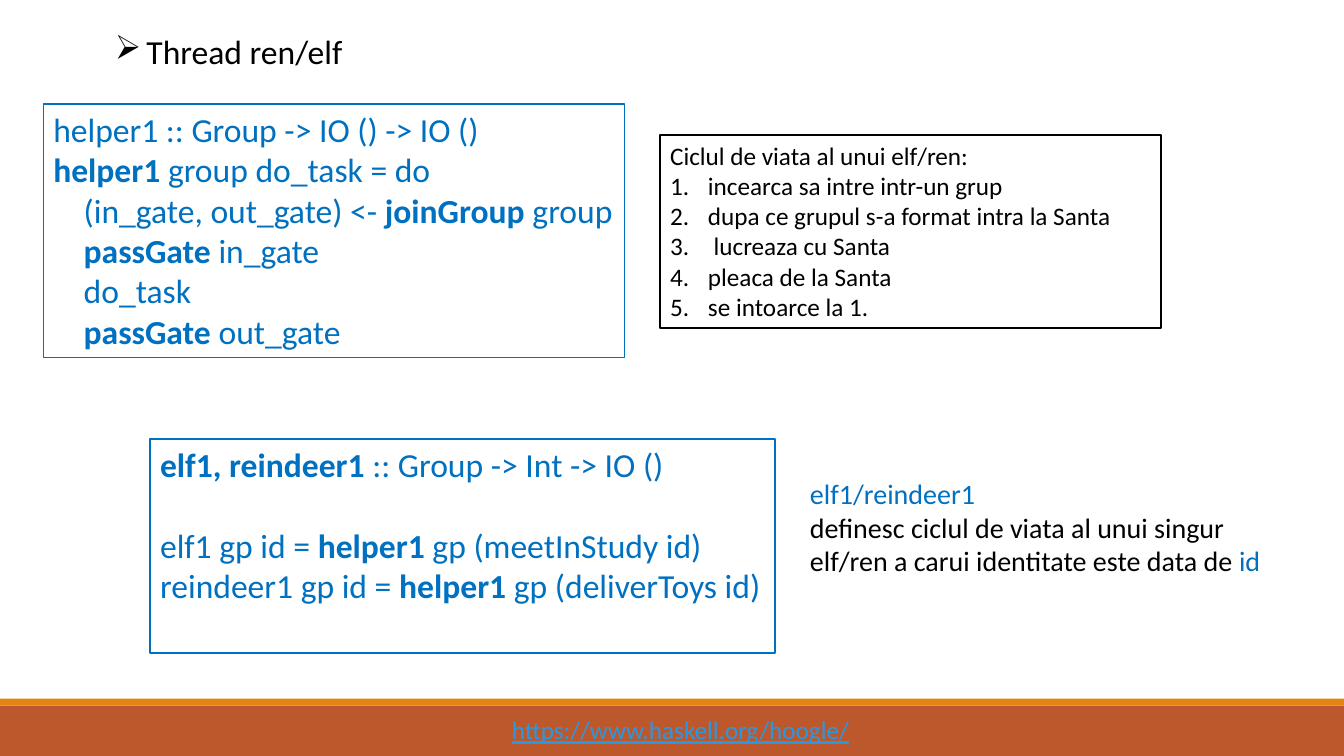
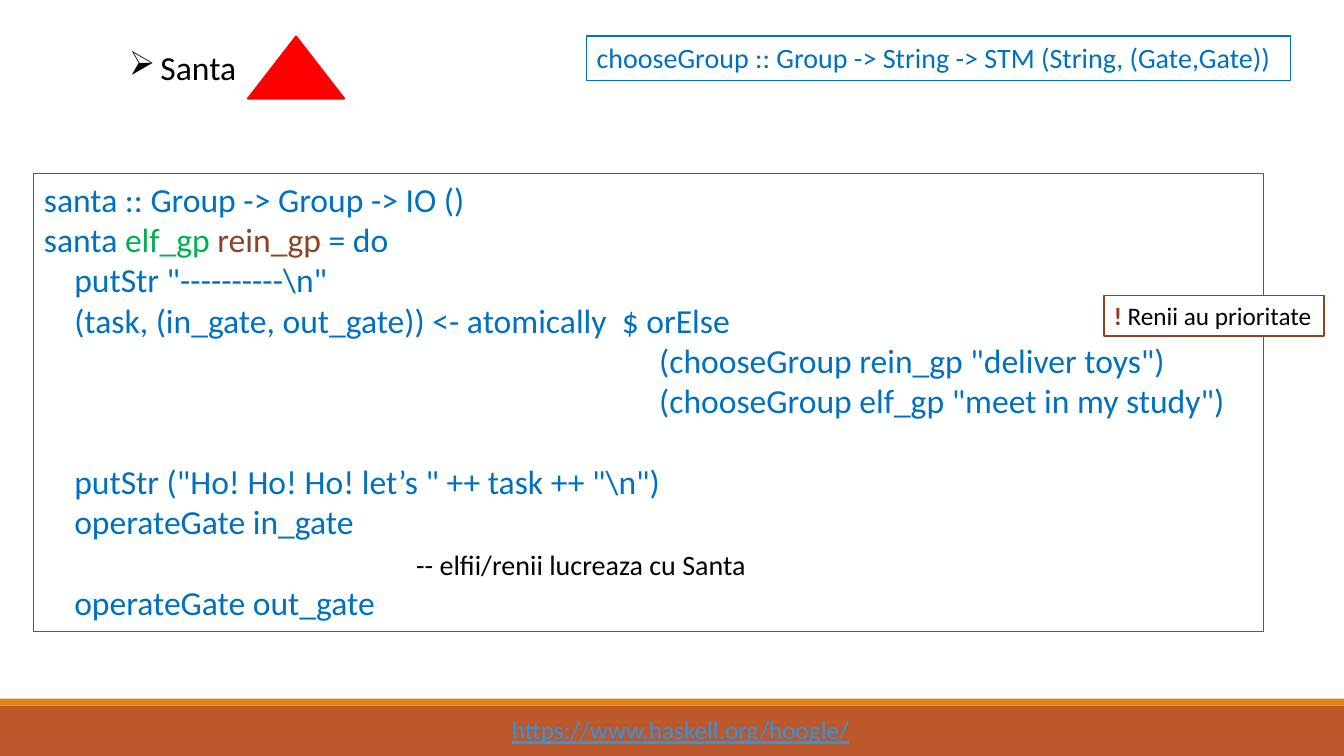
from dataclasses import dataclass
from typing import Optional

from lxml import etree
from pptx import Presentation
from pptx.dml.color import RGBColor
from pptx.enum import shapes, text
from pptx.oxml.ns import qn
from pptx.util import Pt

BLUE = RGBColor(0x00, 0x70, 0xC0)
BLACK = RGBColor(0x00, 0x00, 0x00)
WHITE = RGBColor(0xFF, 0xFF, 0xFF)
GREEN = RGBColor(0x00, 0xB0, 0x50)
BROWN = RGBColor(0x8E, 0x42, 0x21)
RED = RGBColor(0xFF, 0x00, 0x00)
RUST = RGBColor(0xBD, 0x58, 0x2C)
AMBER = RGBColor(0xE4, 0x83, 0x12)
SKY = RGBColor(0x29, 0x98, 0xE3)
FACE = "Calibri"
WIDE, HIGH = 960, 540
TAB = " " * 4
DEEP = " " * 81
NOTE = " " * 49


@dataclass(frozen=True)
class Run:
    words: str
    bold: bool = False
    color: Optional[RGBColor] = None
    size: Optional[float] = None


@dataclass(frozen=True)
class Line:
    runs: tuple
    mark: str = ""
    indent: float = 0
    gap: float = 0


@dataclass(frozen=True)
class Box:
    at: tuple
    lines: tuple
    size: float
    color: RGBColor = BLUE
    edge: Optional[RGBColor] = None
    width: float = 0.75
    fill: Optional[RGBColor] = None
    under: bool = False


def row(*parts, **opts) -> Line:
    runs = tuple(Run(p) if isinstance(p, str) else p for p in parts)
    return Line(runs, **opts)


def bold(words: str) -> Run:
    return Run(words, bold=True)


def add_mark(para, line: Line) -> None:
    props = para._p.get_or_add_pPr()
    props.set("marL", str(Pt(line.indent)))
    props.set("indent", str(-Pt(line.indent)))
    if line.mark == "1.":
        etree.SubElement(props, qn("a:buAutoNum"), type="arabicPeriod")
    else:
        etree.SubElement(props, qn("a:buChar"), char=line.mark)


def add_line(para, line: Line, box: Box) -> None:
    if line.mark:
        add_mark(para, line)
    if line.gap:
        para.space_before = Pt(line.gap)
    font = para.font
    font.name, font.size = FACE, Pt(box.size)
    font.color.rgb = box.color
    if box.under:
        font.underline = True
    for part in line.runs:
        run = para.add_run()
        run.text = part.words
        if part.bold:
            run.font.bold = True
        if part.color is not None:
            run.font.color.rgb = part.color
        if part.size is not None:
            run.font.size = Pt(part.size)


def add_box(slide, box: Box) -> None:
    shape = slide.shapes.add_textbox(*map(Pt, box.at))
    if box.fill is not None:
        shape.fill.solid()
        shape.fill.fore_color.rgb = box.fill
    if box.edge is not None:
        shape.line.color.rgb = box.edge
        shape.line.width = Pt(box.width)
    frame = shape.text_frame
    frame.word_wrap = True
    frame.vertical_anchor = text.MSO_ANCHOR.TOP
    for i, line in enumerate(box.lines):
        para = frame.add_paragraph() if i else frame.paragraphs[0]
        add_line(para, line, box)


def add_form(slide, kind, at: tuple, fill: RGBColor,
             edge: Optional[RGBColor] = None) -> None:
    shape = slide.shapes.add_shape(kind, *map(Pt, at))
    shape.shadow.inherit = False
    shape.fill.solid()
    shape.fill.fore_color.rgb = fill
    if edge is None:
        shape.line.fill.background()
    else:
        shape.line.color.rgb = edge
        shape.line.width = Pt(1.25)


def title(words: str, left: float, top: float, width: float) -> Box:
    return Box((left, top, width, 36),
               (row(words, mark="➢", indent=22.5),), 24, BLACK)


def add_slide(deck, boxes: tuple):
    slide = deck.slides.add_slide(deck.slide_layouts[6])
    rect = shapes.MSO_SHAPE.RECTANGLE
    add_form(slide, rect, (0, 504, WIDE, 36), RUST)
    add_form(slide, rect, (0, 499, WIDE, 5), AMBER)
    add_box(slide, LINK)
    for box in boxes:
        add_box(slide, box)
    return slide


LINK = Box((358.5, 507, 258.5, 29), (row("https://www.haskell.org/hoogle/"),),
           18, SKY, under=True)

STEPS = (
    "incearca sa intre intr-un grup",
    "dupa ce grupul s-a format intra la Santa",
    " lucreaza cu Santa",
    "pleaca de la Santa",
    "se intoarce la 1.",
)

THREAD = (
    Box((31, 74.3, 415, 181.4), (
        row("helper1 :: Group -> IO () -> IO ()"),
        row(bold("helper1"), " group do_task = do"),
        row(TAB + "(in_gate, out_gate) <- ", bold("joinGroup"), " group"),
        row(bold(TAB + "passGate"), " in_gate"),
        row(TAB + "do_task"),
        row(TAB, bold("passGate"), " out_gate"),
    ), 24, edge=BLUE),
    Box((471.6, 96.5, 358, 138), (
        row("Ciclul de viata al unui elf/ren:"),
        *(row(step, mark="1.", indent=27) for step in STEPS),
    ), 18, BLACK, BLACK, 1.25, WHITE),
    Box((107.3, 313.7, 446.4, 152.8), (
        row(bold("elf1, reindeer1 "), ":: Group -> Int -> IO ()"),
        row("elf1 gp id = ", bold("helper1"), " gp (meetInStudy id)", gap=29),
        row("reindeer1 gp id = ", bold("helper1"), " gp (deliverToys id)"),
    ), 24, BLUE, BLUE, 1.25, WHITE),
    title("Thread ren/elf", 75, 18.7, 179.5),
    Box((571.5, 337, 340, 80), (
        row(Run("elf1/reindeer1", color=BLUE)),
        row("definesc ciclul de viata al unui singur"),
        row("elf/ren a carui identitate este data de ",
            Run("id", color=BLUE)),
    ), 20, BLACK),
)

SANTA = (
    Box((24.3, 124, 878.5, 327), (
        row("santa :: Group -> Group -> IO ()"),
        row("santa ", Run("elf_gp ", color=GREEN),
            Run("rein_gp ", color=BROWN), "= do"),
        row(TAB + 'putStr "----------\\n"'),
        row(TAB + "(task, (in_gate, out_gate)) <- atomically  $ orElse"),
        row(DEEP + '(chooseGroup rein_gp "deliver toys")'),
        row(DEEP + '(chooseGroup elf_gp "meet in my study")'),
        row(TAB + 'putStr ("Ho! Ho! Ho! let’s " ++ task ++ "\\n")', gap=29),
        row(TAB + "operateGate in_gate"),
        row(NOTE, Run("-- elfii/renii lucreaza cu Santa",
                      color=BLACK, size=20)),
        row(TAB + "operateGate out_gate"),
    ), 24, edge=BLUE),
    title("Santa", 85, 30, 92.5),
    Box((788.5, 211, 157.3, 29), (
        row(Run("! ", True, BROWN), "Renii au prioritate"),
    ), 18, BLACK, BROWN, 1.25, WHITE),
    Box((419, 25.7, 502.6, 31.5), (
        row("chooseGroup :: Group -> String -> STM (String, (Gate,Gate))"),
    ), 20, edge=BLUE),
)


def main() -> None:
    deck = Presentation()
    deck.slide_width, deck.slide_height = Pt(WIDE), Pt(HIGH)
    add_slide(deck, THREAD)
    slide = add_slide(deck, SANTA)
    add_form(slide, shapes.MSO_SHAPE.ISOSCELES_TRIANGLE,
             (177, 26, 69, 44.5), RED, RED)
    deck.save("out.pptx")


if __name__ == "__main__":
    main()
